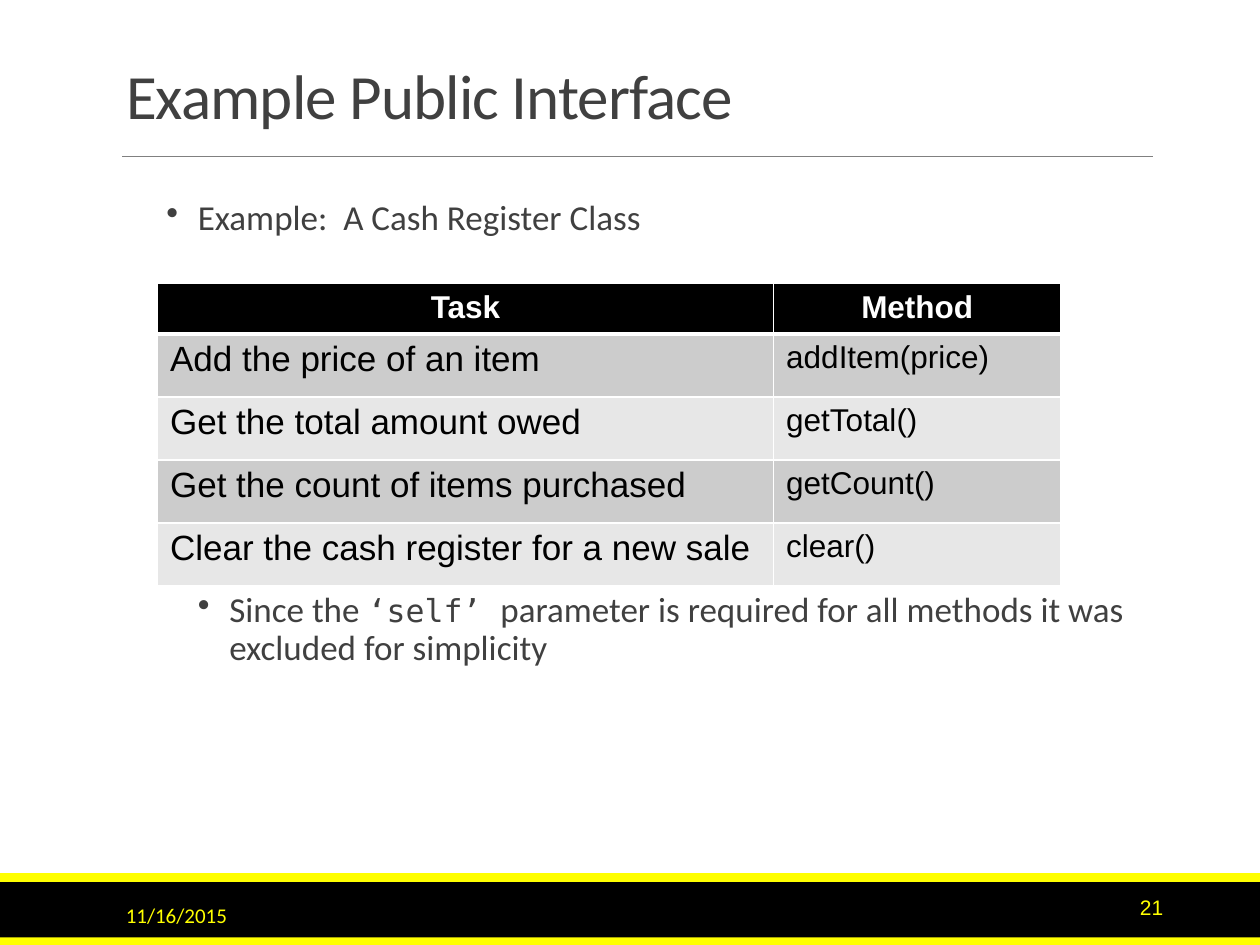
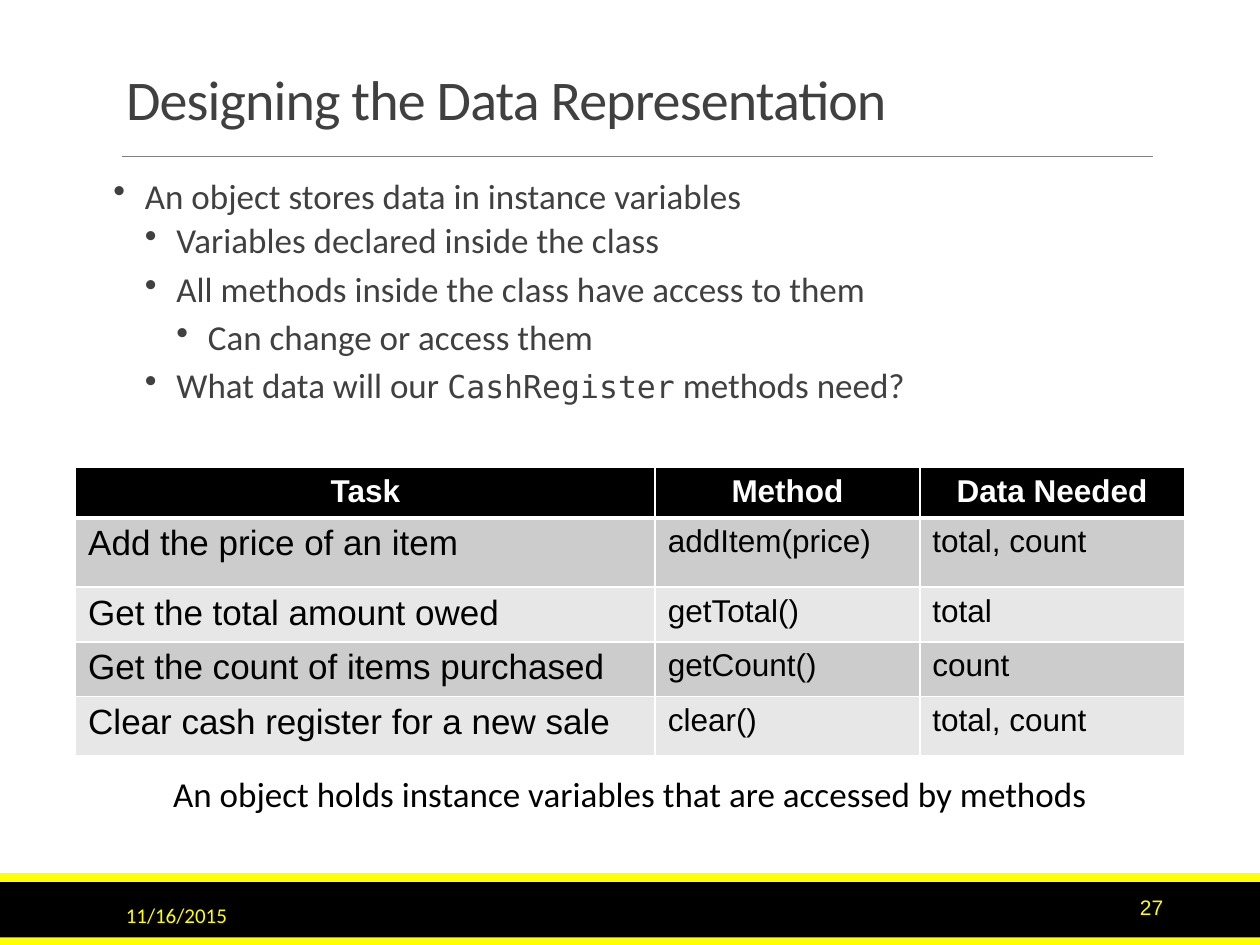
from dataclasses import dataclass
from typing import Optional

import pptx
import pptx.dml.color
import pptx.enum.shapes
import pptx.enum.text
import pptx.oxml
import pptx.oxml.ns
import pptx.presentation
import pptx.shapes.base
import pptx.slide
import pptx.text.text
import pptx.util

EMU_PER_PX = 9144
ALIGN = pptx.enum.text.PP_ALIGN
ANCHOR = pptx.enum.text.MSO_ANCHOR


@dataclass(frozen=True)
class Theme:
    background: str = "FFFFFF"
    band: str = "000000"
    accent: str = "FFFF00"
    rule: str = "808080"
    body: str = "404040"
    ink: str = "000000"
    header_text: str = "FFFFFF"
    grid: str = "FFFFFF"
    stripes: tuple[str, str] = ("CCCCCC", "E7E7E7")
    text_font: str = "Calibri"
    table_font: str = "Arial"
    code_font: str = "DejaVu Sans Mono"
    text_size: int = 20
    code_size: int = 18
    footer_size: int = 12


THEME = Theme()


@dataclass(frozen=True)
class Box:
    left: int
    top: int
    width: int
    height: int

    def emu(self) -> tuple[int, int, int, int]:
        return px(self.left), px(self.top), px(self.width), px(self.height)


@dataclass(frozen=True)
class Band:
    box: Box
    color: str


@dataclass(frozen=True)
class Bullet:
    text: str
    level: int


@dataclass(frozen=True)
class BulletList:
    box: Box
    bullets: tuple[Bullet, ...]


@dataclass(frozen=True)
class Grid:
    left: int
    top: int
    columns: tuple[int, ...]
    rows: tuple[int, ...]
    cells: tuple[tuple[str, ...], ...]


@dataclass(frozen=True)
class Page:
    title: str
    title_size: int
    number: str
    lists: tuple[BulletList, ...]
    grid: Grid
    caption: Optional[str] = None


SLIDE_WIDTH, SLIDE_HEIGHT = 1000, 750
TITLE_BOX = Box(90, 31, 825, 79)
RULE_LEFT, RULE_RIGHT, RULE_TOP = 97, 915, 124
NUMBER_BOX = Box(825, 700, 108, 40)
DATE_BOX = Box(90, 706, 203, 40)
CAPTION_BOX = Box(104, 608, 792, 44)
DATE = "11/16/2015"
BULLET_STEP = 25
BANDS = (
    Band(Box(0, 700, SLIDE_WIDTH, 50), THEME.band),
    Band(Box(0, 693, SLIDE_WIDTH, 7), THEME.accent),
    Band(Box(0, 744, SLIDE_WIDTH, 6), THEME.accent),
)

PAGES = (
    Page(
        "Example Public Interface", 36, "21",
        (
            BulletList(Box(107, 154, 825, 60), (Bullet("Example:  A Cash Register Class", 1),)),
            BulletList(Box(107, 465, 825, 156), (
                Bullet("Since the `‘self’ `parameter is required for all methods "
                       "it was excluded for simplicity", 2),
            )),
        ),
        Grid(125, 225, (489, 228), (39, 50, 50, 50, 50), (
            ("Task", "Method"),
            ("Add the price of an item", "addItem(price)"),
            ("Get the total amount owed", "getTotal()"),
            ("Get the count of items purchased", "getCount()"),
            ("Clear the cash register for a new sale", "clear()"),
        )),
    ),
    Page(
        "Designing the Data Representation", 32, "27",
        (
            BulletList(Box(90, 137, 825, 230), (
                Bullet("An object stores data in instance variables", 0),
                Bullet("Variables declared inside the class", 1),
                Bullet("All methods inside the class have access to them", 1),
                Bullet("Can change or access them", 2),
                Bullet("What data will our `CashRegister` methods need?", 1),
            )),
        ),
        Grid(60, 371, (460, 210, 210), (38, 55, 41, 41, 47), (
            ("Task", "Method", "Data Needed"),
            ("Add the price of an item", "addItem(price)", "total, count"),
            ("Get the total amount owed", "getTotal()", "total"),
            ("Get the count of items purchased", "getCount()", "count"),
            ("Clear cash register for a new sale", "clear()", "total, count"),
        )),
        "An object holds instance variables that are accessed by methods",
    ),
)


def px(length: int) -> int:
    return length * EMU_PER_PX


def rgb(color: str) -> pptx.dml.color.RGBColor:
    return pptx.dml.color.RGBColor.from_string(color)


def write_text(
    paragraph: pptx.text.text._Paragraph,
    text: str,
    *,
    color: str,
    size: int = THEME.text_size,
    font: str = THEME.text_font,
    bold: bool = False,
    align: ALIGN = ALIGN.LEFT,
    line_spacing: float = 1.0,
    tracking: int = 0,
) -> None:
    paragraph.alignment = align
    paragraph.line_spacing = line_spacing
    for index, part in enumerate(text.split("`")):
        if not part:
            continue
        is_code = index % 2 == 1
        run = paragraph.add_run()
        run.text = part
        run.font.name = THEME.code_font if is_code else font
        run.font.size = pptx.util.Pt(THEME.code_size if is_code else size)
        run.font.bold = bold
        run.font.color.rgb = rgb(color)
        if tracking:
            run._r.get_or_add_rPr().set("spc", str(tracking))


def add_text_frame(
    slide: pptx.slide.Slide, box: Box, anchor: ANCHOR = ANCHOR.TOP
) -> pptx.text.text.TextFrame:
    text_frame = slide.shapes.add_textbox(*box.emu()).text_frame
    text_frame.word_wrap = True
    text_frame.vertical_anchor = anchor
    return text_frame


def draw_frame(slide: pptx.slide.Slide, page: Page) -> None:
    for band in BANDS:
        shape = slide.shapes.add_shape(
            pptx.enum.shapes.MSO_SHAPE.RECTANGLE, *band.box.emu()
        )
        shape.shadow.inherit = False
        shape.fill.solid()
        shape.fill.fore_color.rgb = rgb(band.color)
        shape.line.fill.background()
    rule = slide.shapes.add_connector(
        pptx.enum.shapes.MSO_CONNECTOR.STRAIGHT,
        px(RULE_LEFT), px(RULE_TOP), px(RULE_RIGHT), px(RULE_TOP),
    )
    rule.line.color.rgb = rgb(THEME.rule)
    rule.line.width = pptx.util.Pt(0.5)
    pptx.oxml.ns.qn("a:effectLst")
    rule._element.spPr.append(
        pptx.oxml.parse_xml(f"<a:effectLst {pptx.oxml.ns.nsdecls('a')}/>")
    )
    number = add_text_frame(slide, NUMBER_BOX, ANCHOR.MIDDLE)
    write_text(number.paragraphs[0], page.number, color=THEME.accent,
               size=THEME.footer_size, font=THEME.table_font, align=ALIGN.RIGHT)
    date = add_text_frame(slide, DATE_BOX, ANCHOR.MIDDLE)
    write_text(date.paragraphs[0], DATE, color=THEME.accent, size=THEME.footer_size)


def draw_title(slide: pptx.slide.Slide, page: Page) -> None:
    title = slide.shapes.title
    title.left, title.top, title.width, title.height = TITLE_BOX.emu()
    title.text_frame.vertical_anchor = ANCHOR.BOTTOM
    write_text(title.text_frame.paragraphs[0], page.title, color=THEME.body,
               size=page.title_size, line_spacing=0.85, tracking=-50)


def draw_bullets(slide: pptx.slide.Slide, bullet_list: BulletList) -> None:
    text_frame = add_text_frame(slide, bullet_list.box)
    text_frame.margin_left = text_frame.margin_right = 0
    for index, bullet in enumerate(bullet_list.bullets):
        paragraph = text_frame.add_paragraph() if index else text_frame.paragraphs[0]
        properties = paragraph._p.get_or_add_pPr()
        properties.set("marL", str(px(BULLET_STEP * (bullet.level + 1))))
        properties.set("indent", str(-px(BULLET_STEP)))
        properties.append(pptx.oxml.parse_xml(
            f'<a:buChar {pptx.oxml.ns.nsdecls("a")} char="•"/>'
        ))
        paragraph.level = bullet.level
        paragraph.space_before = pptx.util.Pt(2 if index else 0)
        paragraph.space_after = pptx.util.Pt(4 if bullet.level else 2)
        write_text(paragraph, bullet.text, color=THEME.body, line_spacing=0.9)


def set_borders(cell: pptx.table._Cell, widths: dict[str, int]) -> None:
    properties = cell._tc.get_or_add_tcPr()
    for side, points in widths.items():
        properties.append(pptx.oxml.parse_xml(
            f'<a:ln{side} {pptx.oxml.ns.nsdecls("a")} w="{pptx.util.Pt(points)}">'
            f'<a:solidFill><a:srgbClr val="{THEME.grid}"/></a:solidFill></a:ln{side}>'
        ))


def draw_grid(slide: pptx.slide.Slide, grid: Grid) -> None:
    box = Box(grid.left, grid.top, sum(grid.columns), sum(grid.rows))
    table = slide.shapes.add_table(len(grid.rows), len(grid.columns), *box.emu()).table
    for column, width in zip(table.columns, grid.columns):
        column.width = px(width)
    for row_index, (row, height) in enumerate(zip(table.rows, grid.rows)):
        row.height = px(height)
        is_header = row_index == 0
        for column_index, cell in enumerate(row.cells):
            set_borders(cell, {
                "L": 1, "R": 1,
                "T": 3 if row_index == 1 else 1,
                "B": 3 if is_header else 1,
            })
            cell.fill.solid()
            cell.fill.fore_color.rgb = rgb(
                THEME.band if is_header else THEME.stripes[(row_index - 1) % 2]
            )
            is_task = column_index == 0 and not is_header
            write_text(
                cell.text_frame.paragraphs[0],
                grid.cells[row_index][column_index],
                color=THEME.header_text if is_header else THEME.ink,
                size=THEME.text_size if is_task else THEME.code_size,
                font=THEME.table_font,
                bold=is_header,
                align=ALIGN.CENTER if is_header else ALIGN.LEFT,
            )


def draw_page(presentation: pptx.presentation.Presentation, page: Page) -> None:
    slide = presentation.slides.add_slide(presentation.slide_layouts.get_by_name("Title Only"))
    slide.background.fill.solid()
    slide.background.fill.fore_color.rgb = rgb(THEME.background)
    draw_frame(slide, page)
    draw_title(slide, page)
    for bullet_list in page.lists:
        draw_bullets(slide, bullet_list)
    draw_grid(slide, page.grid)
    if page.caption:
        caption = add_text_frame(slide, CAPTION_BOX)
        write_text(caption.paragraphs[0], page.caption, color=THEME.ink, align=ALIGN.CENTER)


def main() -> None:
    presentation = pptx.Presentation()
    presentation.slide_width = px(SLIDE_WIDTH)
    presentation.slide_height = px(SLIDE_HEIGHT)
    for page in PAGES:
        draw_page(presentation, page)
    presentation.save("out.pptx")


if __name__ == "__main__":
    main()
